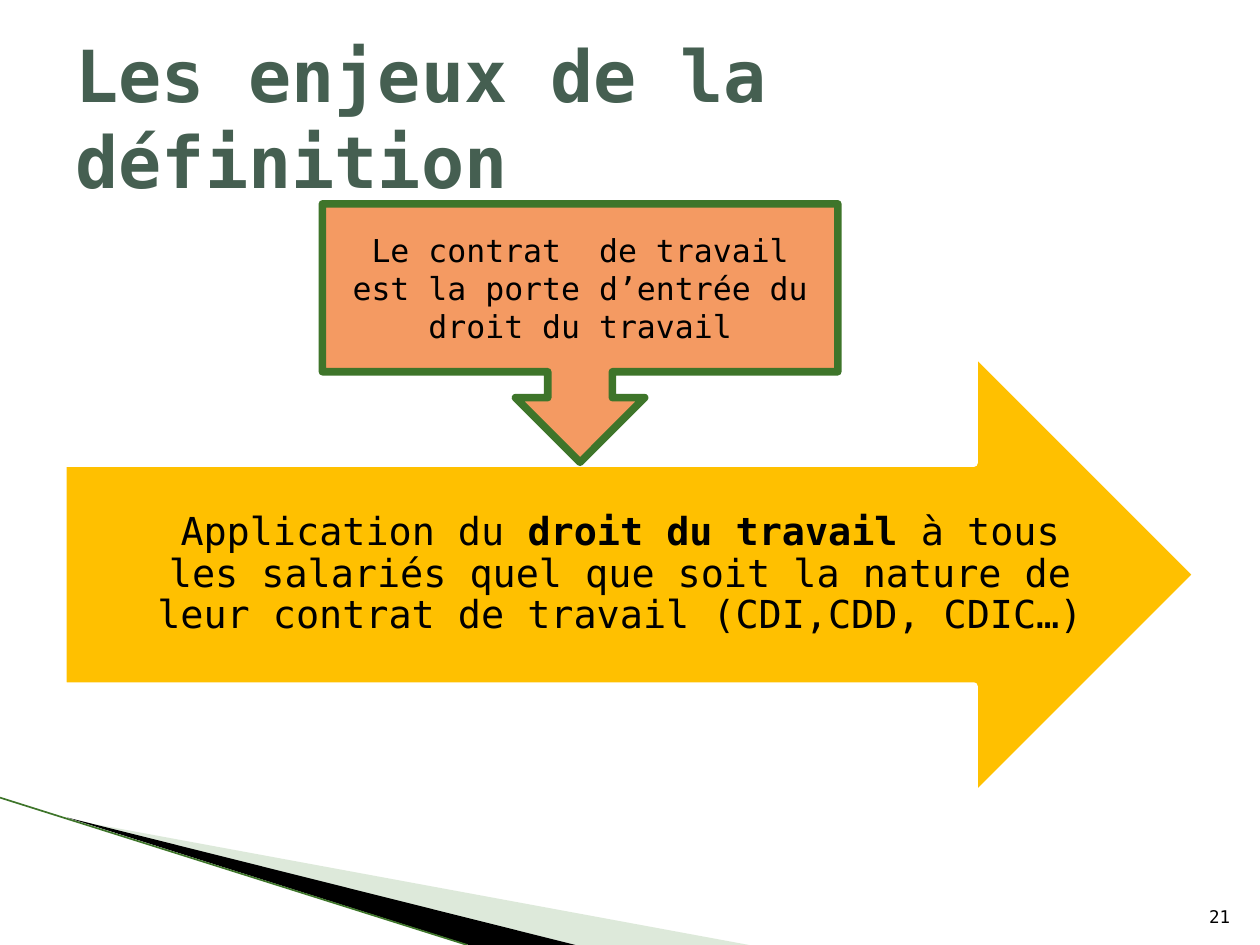
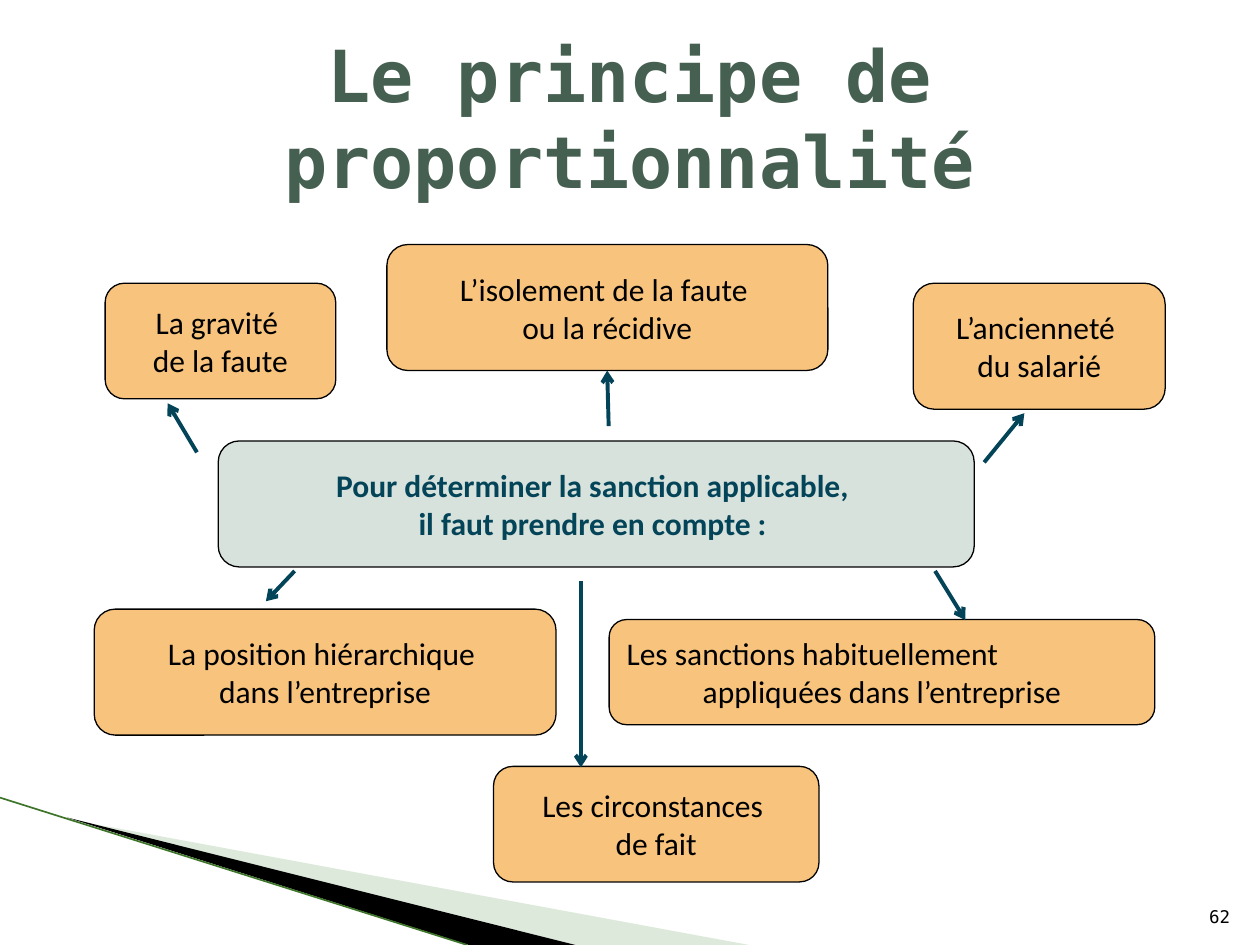
"""Build two slides on French labour law: the employment contract and proportionality."""

from dataclasses import dataclass

from lxml.etree import SubElement
from pptx import Presentation
from pptx.dml.color import RGBColor
from pptx.enum.shapes import MSO_CONNECTOR, MSO_SHAPE
from pptx.enum.text import MSO_ANCHOR, MSO_AUTO_SIZE, PP_ALIGN
from pptx.oxml.ns import qn
from pptx.util import Cm, Pt


@dataclass(frozen=True)
class Theme:
    mono: str = "DejaVu Sans Mono"
    sans: str = "Calibri"
    title_size: float = 41
    arrow_size: float = 22
    body_size: float = 18
    number_size: float = 10
    title: str = "455F51"
    black: str = "000000"
    white: str = "FFFFFF"
    pale_green: str = "AACAA3"
    green: str = "3E752A"
    gold: str = "FFC000"
    salmon: str = "F49A62"
    peach: str = "F7C37D"
    mist: str = "D7E2DC"
    petrol: str = "044458"


theme = Theme()


def write(frame, lines, font, size, color, align=PP_ALIGN.CENTER, anchor=MSO_ANCHOR.MIDDLE):
    frame.word_wrap = True
    frame.auto_size = MSO_AUTO_SIZE.NONE
    frame.vertical_anchor = anchor
    for index, spans in enumerate(lines):
        para = frame.paragraphs[0] if index == 0 else frame.add_paragraph()
        para.alignment = align
        for text, bold in spans:
            span = para.add_run()
            span.text = text
            span.font.name = font
            span.font.size = Pt(size)
            span.font.bold = bold
            span.font.color.rgb = RGBColor.from_string(color)


def paint(shape, fill, line=None, width=0.75):
    shape.shadow.inherit = False
    shape.fill.solid()
    shape.fill.fore_color.rgb = RGBColor.from_string(fill)
    if line is None:
        shape.line.fill.background()
    else:
        shape.line.color.rgb = RGBColor.from_string(line)
        shape.line.width = Pt(width)


deck = Presentation()
deck.slide_width, deck.slide_height = Cm(25.4), Cm(19.05)
layout = deck.slide_layouts[5]

pages = []
for title_text, title_align, number in [
    ("Les enjeux de la définition", PP_ALIGN.LEFT, "21"),
    ("Le principe de proportionnalité", PP_ALIGN.CENTER, "62"),
]:
    page = deck.slides.add_slide(layout)
    title = page.shapes.title
    title.left, title.top, title.width, title.height = Cm(1.27), Cm(0.76), Cm(22.86), Cm(3.18)
    write(title.text_frame, [[(title_text, True)]], theme.mono, theme.title_size, theme.title, title_align)
    number_box = page.shapes.add_textbox(Cm(24.03), Cm(17.8), Cm(1.02), Cm(1.02))
    write(number_box.text_frame, [[(number, False)]], theme.mono, theme.number_size, theme.black,
          PP_ALIGN.RIGHT, MSO_ANCHOR.BOTTOM)
    pages.append(page)

stakes, proportion = pages

wedges = []
for color, corners in [
    (theme.pale_green, [(1.4, 16.52), (15.1, 19.05), (11.6, 19.05)]),
    (theme.black, [(1.35, 16.48), (11.6, 19.05), (9.45, 19.05)]),
]:
    outline = [(Cm(x), Cm(y)) for x, y in corners]
    builder = stakes.shapes.build_freeform(*outline[0])
    builder.add_line_segments(outline[1:], close=True)
    wedge = builder.convert_to_shape()
    paint(wedge, color)
    wedges.append(wedge)
pale_color = wedges[0].element.spPr.find(qn("a:solidFill"))[0]
SubElement(pale_color, qn("a:alpha"), val="40000")

edge = stakes.shapes.add_connector(MSO_CONNECTOR.STRAIGHT, Cm(0), Cm(16.08), Cm(9.42), Cm(19.05))
edge.line.color.rgb = RGBColor.from_string(theme.green)
edge.line.width = Pt(0.95)
SubElement(edge.element.spPr, qn("a:effectLst"))
for decoration in [*wedges, edge]:
    layout.shapes.element.append(decoration.element)

arrow = stakes.shapes.add_shape(MSO_SHAPE.RIGHT_ARROW, Cm(1.27), Cm(7.09), Cm(22.86), Cm(8.99))
paint(arrow, theme.gold, theme.white, 4.33)
frame = arrow.text_frame
frame.margin_left, frame.margin_right = Cm(1.85), Cm(0)
frame.margin_top = frame.margin_bottom = Cm(0.61)
write(frame, [[
    ("Application du ", False),
    ("droit du travail ", True),
    ("à tous les salariés quel que soit la nature de leur contrat de travail (CDI,CDD, CDIC…)", False),
]], theme.mono, theme.arrow_size, theme.black)
frame.paragraphs[0].line_spacing = 0.9

callout = stakes.shapes.add_shape(MSO_SHAPE.DOWN_ARROW_CALLOUT, Cm(6.5), Cm(4.11), Cm(10.39), Cm(5.21))
paint(callout, theme.salmon, theme.green, 4.33)
write(callout.text_frame, [[("Le contrat  de travail est la porte d’entrée du droit du travail", False)]],
      theme.mono, theme.body_size, theme.black)

question = ("Pour déterminer la sanction applicable, ", "il faut prendre en compte : ")
habits = ("Les sanctions habituellement", "appliquées dans l’entreprise")
criteria = [
    (4.4, 8.89, 15.24, 2.54, question),
    (7.8, 4.93, 8.89, 2.54, ("L’isolement de la faute ", "ou la récidive")),
    (18.41, 5.71, 5.08, 2.54, ("L’ancienneté ", "du salarié")),
    (9.95, 15.45, 6.56, 2.33, ("Les circonstances ", "de fait")),
    (12.28, 12.49, 11.0, 2.12, habits),
    (1.9, 12.28, 9.31, 2.54, ("La position hiérarchique ", "dans l’entreprise")),
    (2.12, 5.71, 4.65, 2.33, ("La gravité ", "de la faute")),
]
for left, top, width, height, lines in criteria:
    box = proportion.shapes.add_shape(
        MSO_SHAPE.FLOWCHART_ALTERNATE_PROCESS, Cm(left), Cm(top), Cm(width), Cm(height))
    central = lines is question
    paint(box, theme.mist if central else theme.peach, theme.black)
    write(box.text_frame, [[(line, central)] for line in lines], theme.sans, theme.body_size,
          theme.petrol if central else theme.black)
    if lines is habits:
        box.text_frame.paragraphs[0].alignment = PP_ALIGN.LEFT

for start_x, start_y, end_x, end_y in [
    (3.97, 9.12, 3.38, 8.13),
    (12.27, 8.59, 12.24, 7.47),
    (19.84, 9.32, 20.65, 8.33),
    (5.94, 11.51, 5.36, 12.12),
    (18.85, 11.51, 19.46, 12.5),
    (11.71, 11.71, 11.71, 15.47),
]:
    pointer = proportion.shapes.add_connector(
        MSO_CONNECTOR.STRAIGHT, Cm(start_x), Cm(start_y), Cm(end_x), Cm(end_y))
    pointer.line.color.rgb = RGBColor.from_string(theme.petrol)
    pointer.line.width = Pt(2.25)
    SubElement(pointer.line._get_or_add_ln(), qn("a:tailEnd"), type="arrow")
    SubElement(pointer.element.spPr, qn("a:effectLst"))

deck.save("out.pptx")
